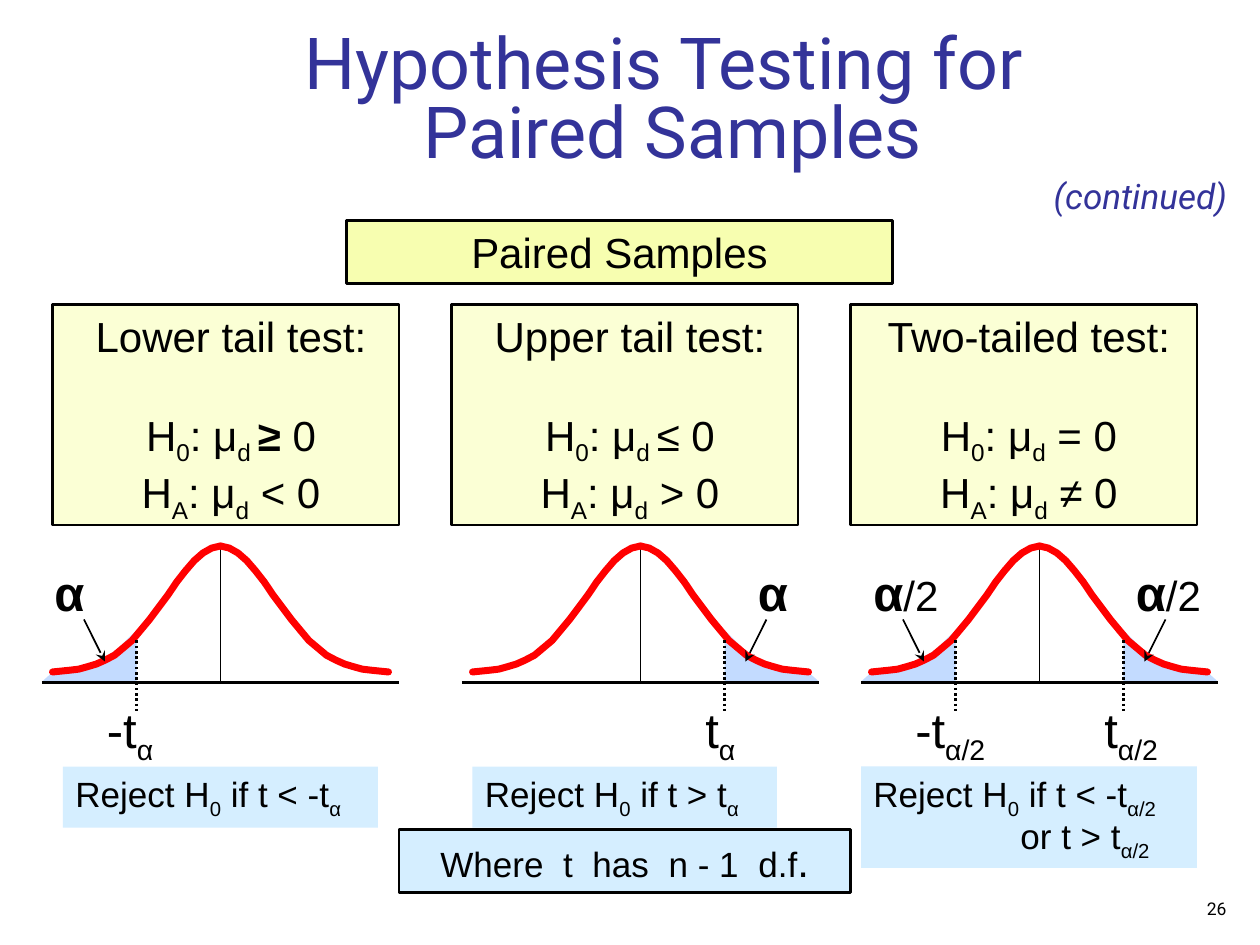
from lxml import etree
from pptx import Presentation, util as u
from pptx.dml.color import RGBColor
from pptx.enum import dml, shapes, text
from pptx.oxml.ns import qn

Pt = u.Pt
ink = RGBColor.from_string
LEFT, MID, RIGHT = text.PP_ALIGN.LEFT, text.PP_ALIGN.CENTER, text.PP_ALIGN.RIGHT
TOP, BASE = text.MSO_ANCHOR.TOP, text.MSO_ANCHOR.BOTTOM
PALE, SKY, TAIL, BLUE = "FBFFD5", "D5EEFF", "C3DBFF", "333399"
SUB, BOLD, ITAL = {"baseline": "-25000"}, {"b": "1"}, {"i": "1"}
WIDE = {"spc": "560"}
SMALL, BIG = {"sz": "2400", "b": "0"}, {"sz": "2400"}

deck = Presentation()
deck.slide_width, deck.slide_height = Pt(720), Pt(540)
page = deck.slides.add_slide(deck.slide_layouts[6])
art = page.shapes


def box(x, y, w, h, paras=(), size=24, fill=None, edge=None, align=LEFT,
        anchor=TOP, font="Arial", color="000000"):
    """Add a box; each paragraph is a list of (text, run attributes) or plain text."""
    spot = Pt(x), Pt(y), Pt(w), Pt(h)
    if fill:
        item = art.add_shape(shapes.MSO_SHAPE.RECTANGLE, *spot)
        item.shadow.inherit = False
        item.fill.solid()
        item.fill.fore_color.rgb = ink(fill)
        if edge:
            item.line.color.rgb = ink(edge)
            item.line.width = Pt(1.5)
        else:
            item.line.fill.background()
    else:
        item = art.add_textbox(*spot)
    frame = item.text_frame
    frame.word_wrap = True
    frame.auto_size = text.MSO_AUTO_SIZE.NONE
    frame.vertical_anchor = anchor
    for n, runs in enumerate(paras):
        par = frame.add_paragraph() if n else frame.paragraphs[0]
        par.alignment = align
        for part in runs:
            words, look = (part, {}) if isinstance(part, str) else part
            if words == "\n":
                par.add_line_break()
                continue
            run = par.add_run()
            run.text = words
            run.font.size = Pt(size)
            run.font.name = font
            run.font.color.rgb = ink(color)
            for key, val in look.items():
                run.font._element.set(key, val)
    return frame


def rule(x1, y1, x2, y2, width, dash=None, head=False):
    line = art.add_connector(shapes.MSO_CONNECTOR.STRAIGHT, Pt(x1), Pt(y1), Pt(x2), Pt(y2))
    line.line.color.rgb = ink("000000")
    line.line.width = Pt(width)
    if dash:
        line.line.dash_style = dash
    if head:
        etree.SubElement(line.line._get_or_add_ln(), qn("a:tailEnd"), type="stealth")
    etree.SubElement(line._element.spPr, qn("a:effectLst"))


# Headings
box(78, 18, 613, 84, [["Hypothesis Testing for ", "\n", "Paired Samples"]], 41, align=MID,
    anchor=BASE, font="Roboto", color=BLUE).paragraphs[0].line_spacing = 0.8
box(595, 96, 114, 32, [[("(continued)", ITAL)]], 20, font="Roboto",
    color=BLUE).word_wrap = False
box(198, 126, 312, 36, fill="F7FEB0", edge="000000")
box(216, 126, 276, 36, [["Paired Samples"]], align=MID)

# Hypothesis cards
tests = [
    ("Lower tail test:", [("d ", SUB), ("≥", BOLD), " 0"], " < 0"),
    ("Upper tail test:", [("d ", SUB), "≤ 0"], " > 0"),
    ("Two-tailed test:", [("d", SUB), " = 0"], " ≠ 0"),
]
for n, (name, null, alt) in enumerate(tests):
    x = 30 + 228 * n
    box(x, 174, 198, 126, fill=PALE, edge="000000")
    card = box(x - 6, 174, 216, 130, [
        [name],
        ["H", ("0", SUB), ": μ", *null],
        ["H", ("A", SUB), ": μ", ("d", SUB), alt],
    ], align=MID)
    card.paragraphs[1].space_before = Pt(27.6)

# Bell curves: (distance from centre, y), mirrored on both sides
bell = [(96, 384), (86, 383), (81, 382.4), (76, 381), (71, 379.5), (66, 377.3),
        (60.5, 374.4), (50.5, 366), (40.5, 354), (30, 340), (25, 332.6),
        (20, 326.2), (15, 320.4), (10, 316), (5, 313.2), (0, 312)]
tail = [(102, 389.5), (97, 385), (79, 381.5), (70, 378), (59, 371), (48, 360), (48, 389.5)]
plots = [(126, [-1], ""), (366, [1], ""), (594, [-1, 1], "/2")]
for mid, sides, half in plots:
    rule(mid, 312, mid, 390, 0.75)
    outlines = [(tail, side) for side in sides] + [(bell, -1), (bell, 1)]
    for curve, side in outlines:
        dots = [(Pt(mid + side * dx), Pt(y)) for dx, y in curve]
        pen = art.build_freeform(*dots[0])
        pen.add_line_segments(dots[1:], close=curve is tail)
        form = pen.convert_to_shape()
        form.shadow.inherit = False
        if curve is tail:
            form.fill.solid()
            form.fill.fore_color.rgb = ink(TAIL)
            form.line.fill.background()
        else:
            form.fill.background()
            form.line.color.rgb = ink("FF0000")
            form.line.width = Pt(4)
            form.line._get_or_add_ln().set("cap", "rnd")
    rule(mid - 102, 390, mid + 102, 390, 2)
    for side in sides:
        cut = mid + 48 * side
        start, tip = (-30, -18) if side < 0 else (24, 12)
        rule(cut + start, 354, cut + tip, 378, 1, head=True)
        rule(cut, 366, cut, 408, 1.5, dml.MSO_LINE.ROUND_DOT)
        shift = -54 if side < 0 else 0 if half else 12
        mark = [("α", BOLD)] + ([(half, SMALL)] if half else [])
        box(cut + shift, 318, 66 if half else 30, 40, [mark], 28)
        shift = -18 if side > 0 else -30 if half else -24
        box(cut + shift, 396, 78, 45,
            [["-t" if side < 0 else "t", ("α" + half, SUB)]], 28)

# Decision rules
reject = ["Reject H", ("0", SUB)]
box(36, 438, 180, 35, [reject + [" if t < -t", ("α", SUB)]], 20, SKY)
box(270, 438, 174, 35, [reject + [" if t > t", ("α", SUB)]], 20, SKY)
both = box(492, 438, 192, 58, [reject + [" if t < -t", ("α/2", SUB)],
                               ["or t > t", ("α/2", SUB)]], 20, SKY)
last = both.paragraphs[1]
last.line_spacing = 0.2
last.space_before = Pt(12.5)
last._p.get_or_add_pPr().set("marL", str(Pt(84)))

gap = (" ", WIDE)
box(228, 474, 258, 36, [["Where", gap, "t", gap, "has", gap, "n - 1", gap, "d.f", (".", BIG)]],
    20, SKY, "000000", MID)
box(558, 504, 150, 24.5, [["26"]], 10, align=RIGHT, anchor=BASE, font="Roboto")

deck.save("out.pptx")
